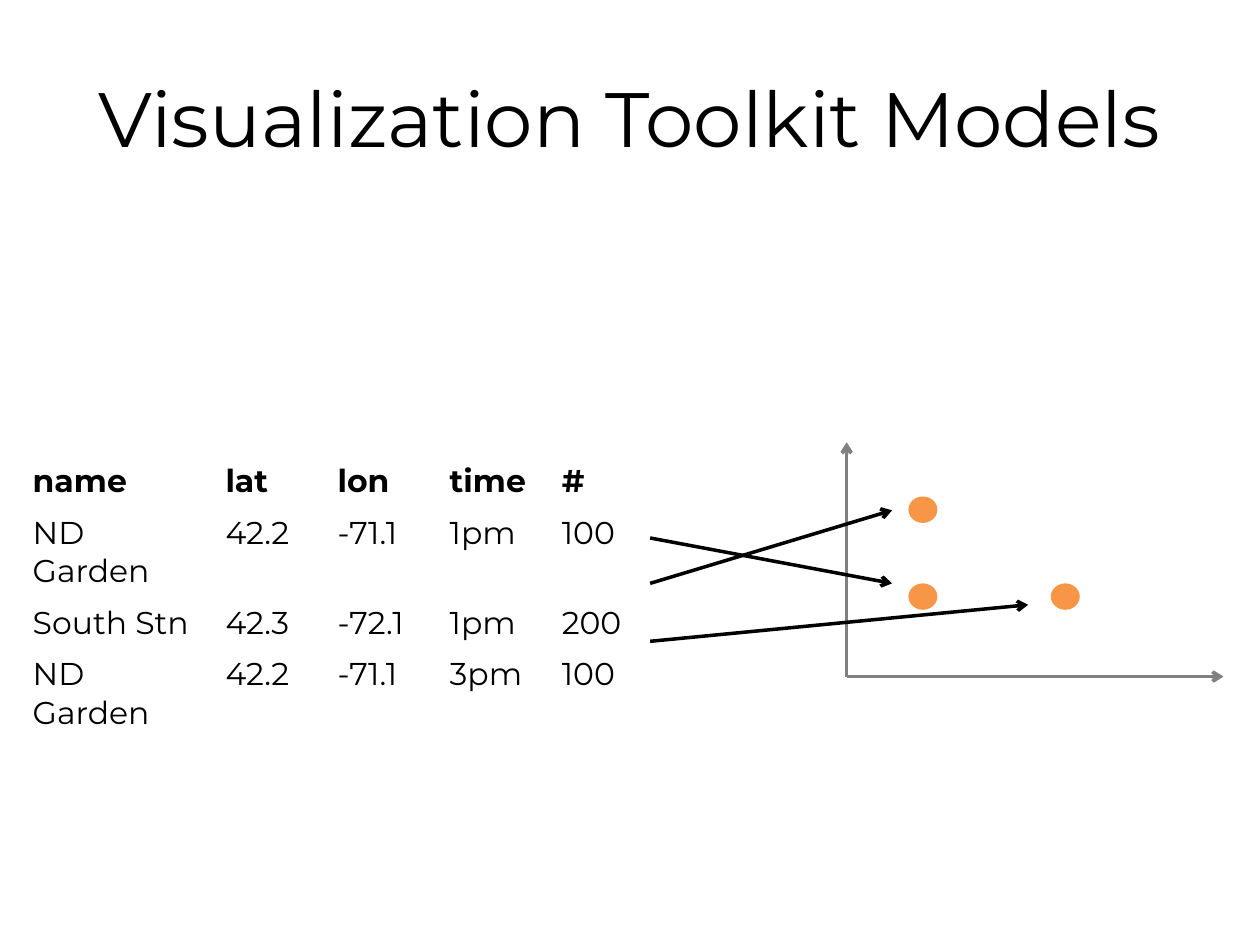
from lxml.etree import SubElement
from pptx import Presentation
from pptx.dml.color import RGBColor
from pptx.enum.shapes import MSO_CONNECTOR, MSO_SHAPE
from pptx.enum.text import MSO_ANCHOR, PP_ALIGN
from pptx.oxml.ns import qn
from pptx.util import Inches, Pt

BLACK = RGBColor(0x00, 0x00, 0x00)
GRAY = RGBColor(0x80, 0x80, 0x80)
ORANGE = RGBColor(0xF7, 0x96, 0x46)

FONT_NAME = "Montserrat"
COLUMN_WIDTHS = [1.53, 0.89, 0.89, 0.89, 0.89]
ROW_HEIGHT = 0.41
RECORDS = [
    ["name", "lat", "lon", "time", "#"],
    ["ND Garden", "42.2", "-71.1", "1pm", "100"],
    ["South Stn", "42.3", "-72.1", "1pm", "200"],
    ["ND Garden", "42.2", "-71.1", "3pm", "100"],
]

ORIGIN = (6.72, 5.37)
AXIS_ENDS = [(6.72, 3.51), (9.71, 5.37)]
POINTS = [(7.21, 4.63), (8.34, 4.63), (7.21, 3.94)]
MAPPINGS = [
    ((5.16, 4.27), (7.08, 4.63)),
    ((5.16, 4.63), (7.08, 4.05)),
    ((5.16, 5.09), (8.16, 4.8)),
]


def format_font(font, size, bold=False):
    values = {"name": FONT_NAME, "size": Pt(size), "bold": bold}
    for attribute, value in values.items():
        setattr(font, attribute, value)
    font.color.rgb = BLACK


def add_title(slide, text):
    title = slide.shapes.title
    title.left, title.top = Inches(0.5), Inches(0.3)
    title.width, title.height = Inches(9), Inches(1.25)
    title.text_frame.text = text
    title.text_frame.vertical_anchor = MSO_ANCHOR.MIDDLE
    paragraph = title.text_frame.paragraphs[0]
    paragraph.alignment = PP_ALIGN.CENTER
    format_font(paragraph.runs[0].font, 44)


def add_data_table(slide, left, top):
    table = slide.shapes.add_table(
        len(RECORDS), len(COLUMN_WIDTHS), Inches(left), Inches(top),
        Inches(sum(COLUMN_WIDTHS)), Inches(ROW_HEIGHT * len(RECORDS)),
    ).table
    table.first_row = table.horz_banding = False
    for column, width in zip(table.columns, COLUMN_WIDTHS):
        column.width = Inches(width)
    for row_index, record in enumerate(RECORDS):
        for column_index, text in enumerate(record):
            cell = table.cell(row_index, column_index)
            cell.fill.background()
            cell.text = text
            run = cell.text_frame.paragraphs[0].runs[0]
            format_font(run.font, 18, bold=row_index == 0)


def add_arrow(slide, start, end, color):
    connector = slide.shapes.add_connector(
        MSO_CONNECTOR.STRAIGHT, *map(Inches, (*start, *end)))
    connector.line.color.rgb = color
    connector.line.width = Pt(2)
    SubElement(connector.line._get_or_add_ln(), qn("a:tailEnd"), type="arrow")
    SubElement(connector._element.spPr, qn("a:effectLst"))


def add_point(slide, left, top):
    shape = slide.shapes.add_shape(
        MSO_SHAPE.OVAL, Inches(left), Inches(top), Inches(0.23), Inches(0.21))
    shape.shadow.inherit = False
    shape.fill.solid()
    shape.fill.fore_color.rgb = ORANGE
    shape.line.fill.background()


def main():
    presentation = Presentation()
    presentation.slide_width = Inches(10)
    presentation.slide_height = Inches(7.5)
    slide = presentation.slides.add_slide(presentation.slide_layouts[5])

    add_title(slide, "Visualization Toolkit Models")
    add_data_table(slide, 0.16, 3.62)
    for end in AXIS_ENDS:
        add_arrow(slide, ORIGIN, end, GRAY)
    for left, top in POINTS:
        add_point(slide, left, top)
    for start, end in MAPPINGS:
        add_arrow(slide, start, end, BLACK)

    presentation.save("out.pptx")


if __name__ == "__main__":
    main()
